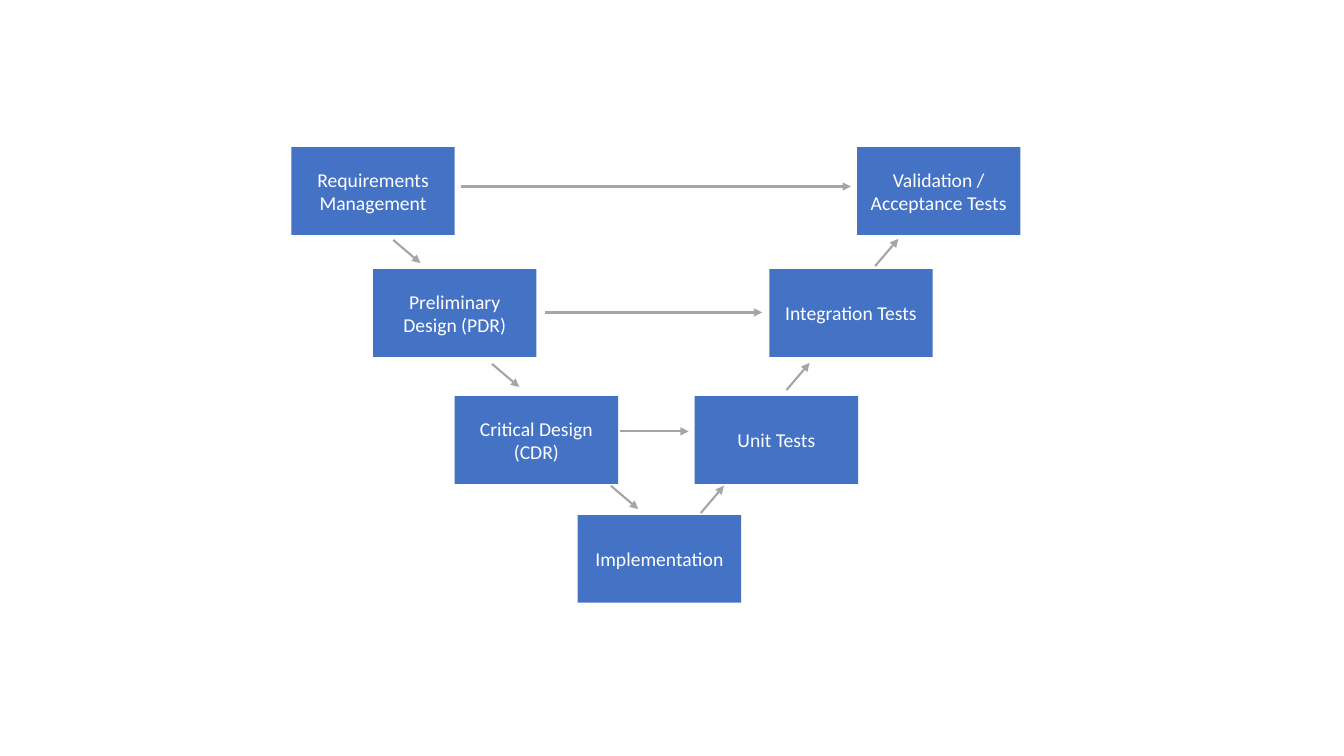
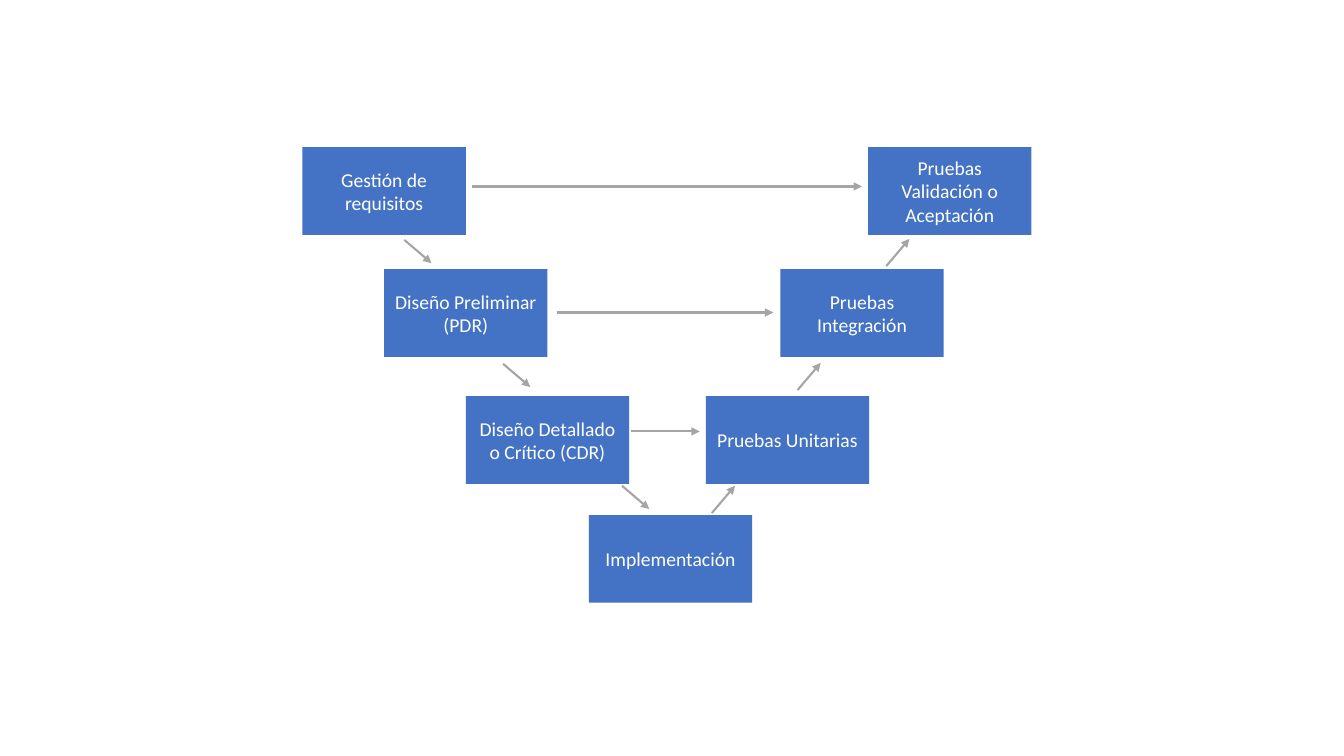
import lxml.etree
import pptx
import pptx.dml.color
import pptx.enum.shapes
import pptx.enum.text
import pptx.oxml.ns
import pptx.util

Inches = pptx.util.Inches
qn = pptx.oxml.ns.qn

COLORS = {"box": "4472C4", "text": "FFFFFF", "arrow": "A5A5A5"}
FONT = {"name": "Calibri", "size": pptx.util.Pt(14)}
FRAME = {"word_wrap": True, "vertical_anchor": pptx.enum.text.MSO_ANCHOR.MIDDLE}

# The V: box corners from top left, down to the tip, up to top right
WIDTH, HEIGHT = 1.62, 0.87
ROWS = [1.46, 2.67, 3.93, 5.11]
SPOTS = list(zip([2.89, 3.7, 4.51, 5.73, 6.89, 7.63, 8.5], ROWS + ROWS[-2::-1]))

# Arrow starts by direction, with the run and rise of each group
DOWN = [(3.9, 2.38), (4.88, 3.61), (6.06, 4.82)]
UP = [(8.68, 2.64), (7.8, 3.87), (6.95, 5.09)]
SLANTS = [(DOWN, 0.27, 0.23), (UP, 0.23, -0.27)]
LEVELS = [(4.57, 8.44, 1.85), (5.41, 7.56, 3.1), (6.15, 6.83, 4.28)]

# Sideways shift of the whole V, and its labels in box order
SLIDES = [
    (0, ["Requirements Management", "Preliminary Design (PDR)",
         "Critical Design (CDR)", "Implementation", "Unit Tests",
         "Integration Tests", "Validation / Acceptance Tests"]),
    (0.11, ["Gestión de requisitos", "Diseño Preliminar (PDR)",
            "Diseño Detallado o Crítico (CDR)", "Implementación",
            "Pruebas Unitarias", "Pruebas Integración",
            "Pruebas Validación o Aceptación"]),
]


def color(name):
    return pptx.dml.color.RGBColor.from_string(COLORS[name])


def apply(target, values):
    for key, value in values.items():
        setattr(target, key, value)


class Deck:
    def __init__(self):
        self.file = pptx.Presentation()
        apply(self.file, {"slide_width": Inches(13.33), "slide_height": Inches(7.5)})

    def start(self, shift):
        self.slide = self.file.slides.add_slide(self.file.slide_layouts[6])
        self.shift = shift

    def box(self, left, top, label):
        box = self.slide.shapes.add_shape(
            pptx.enum.shapes.MSO_SHAPE.RECTANGLE, Inches(left + self.shift),
            Inches(top), Inches(WIDTH), Inches(HEIGHT))
        box.shadow.inherit = False
        box.fill.solid()
        box.fill.fore_color.rgb = color("box")
        box.line.fill.background()
        apply(box.text_frame, FRAME)
        para = box.text_frame.paragraphs[0]
        para.alignment = pptx.enum.text.PP_ALIGN.CENTER
        run = para.add_run()
        run.text = label
        apply(run.font, FONT)
        run.font.color.rgb = color("text")

    def arrow(self, left, top, right, end):
        arrow = self.slide.shapes.add_connector(
            pptx.enum.shapes.MSO_CONNECTOR.STRAIGHT, Inches(left + self.shift),
            Inches(top), Inches(right + self.shift), Inches(end))
        arrow.line.color.rgb = color("arrow")
        arrow.line.width = pptx.util.Pt(1.5)
        props = arrow.element.spPr
        lxml.etree.SubElement(props.find(qn("a:ln")), qn("a:tailEnd"), type="triangle")
        lxml.etree.SubElement(props, qn("a:effectLst"))


def main():
    deck = Deck()
    for shift, labels in SLIDES:
        deck.start(shift)
        # Stages
        for (left, top), label in zip(SPOTS, labels):
            deck.box(left, top, label)
        # Steps along the V
        for starts, run, rise in SLANTS:
            for left, top in starts:
                deck.arrow(left, top, left + run, top + rise)
        # Links from each design stage to its tests
        for left, right, level in LEVELS:
            deck.arrow(left, level, right, level)
    deck.file.save("out.pptx")


if __name__ == "__main__":
    main()
